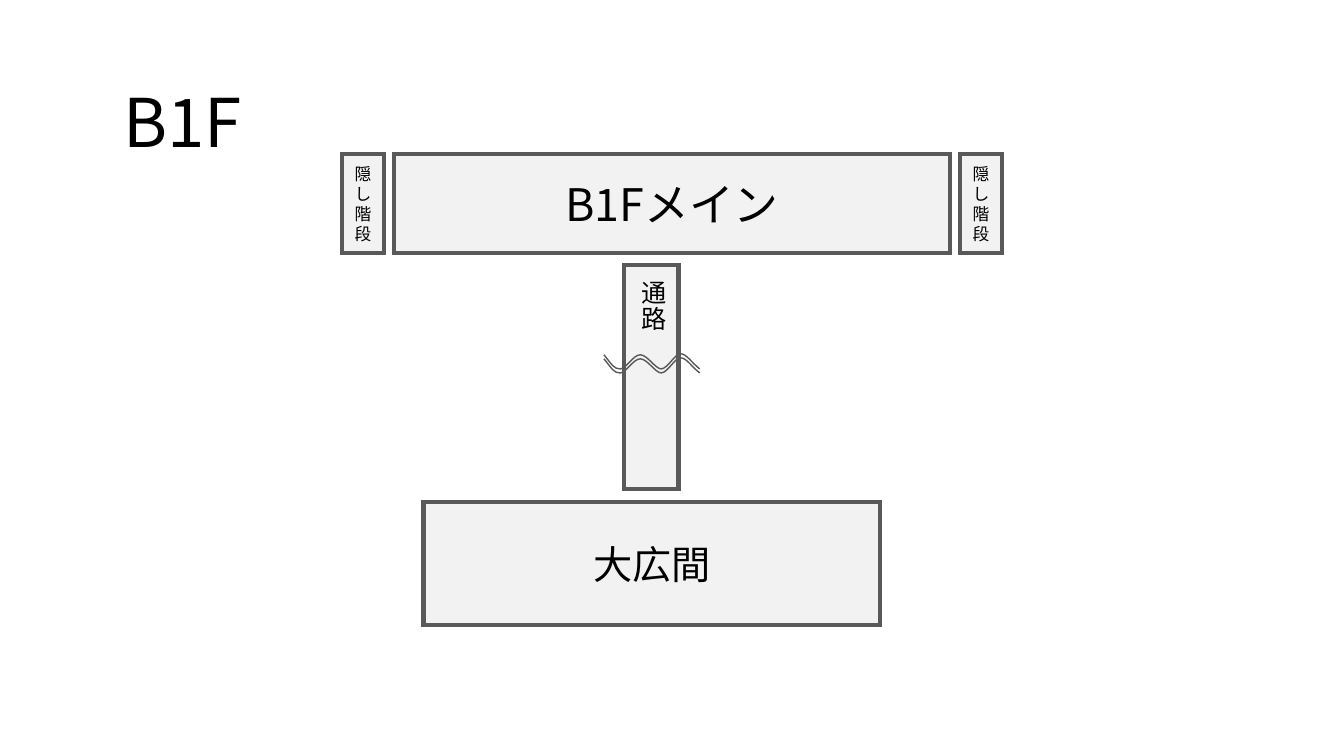
from lxml import etree
from pptx import Presentation
from pptx.dml.color import RGBColor
from pptx.enum.shapes import MSO_SHAPE as Shape
from pptx.enum.text import MSO_ANCHOR as Anchor, MSO_AUTO_SIZE as AutoSize, PP_ALIGN as Align
from pptx.oxml.ns import qn
from pptx.util import Inches, Pt

FONT = "Noto Sans CJK JP"
ROOM_FILL = RGBColor(0xF2, 0xF2, 0xF2)
WALL = RGBColor(0x59, 0x59, 0x59)
TEXT = RGBColor(0, 0, 0)

TITLE_LAYOUT = 5
TOP_ROW, TOP_ROW_HEIGHT = 1.53, 0.98
STAIRS_WIDTH = 0.42
WAVE_GAP = 0.04
# The start, then two control points and an end point for each curve
WAVE = [
    (5.99, 3.52),
    (6.07, 3.62), (6.09, 3.66), (6.15, 3.66),
    (6.21, 3.66), (6.28, 3.52), (6.35, 3.52),
    (6.42, 3.52), (6.5, 3.66), (6.56, 3.66),
    (6.63, 3.65), (6.69, 3.51), (6.75, 3.51),
    (6.81, 3.51), (6.86, 3.6), (6.94, 3.66),
]


def write_text(frame, text, size, align):
    frame.text = text
    paragraph = frame.paragraphs[0]
    paragraph.alignment = align
    for run in paragraph.runs:
        run.font.size = Pt(size)
        run.font.name = FONT
        run.font.color.rgb = TEXT
        east_asian = etree.SubElement(run.font._element, qn("a:ea"))
        east_asian.set("typeface", FONT)


def add_title(slide, text):
    title = slide.shapes.title
    title.left, title.top = Inches(1.12), Inches(0.75)
    title.width, title.height = Inches(1.9), Inches(0.91)
    frame = title.text_frame
    write_text(frame, text, 48, Align.LEFT)
    frame.vertical_anchor = Anchor.TOP
    frame.word_wrap = True
    frame.auto_size = AutoSize.SHAPE_TO_FIT_TEXT


def add_room(slide, text, size, left, top, width, height, align=Align.CENTER):
    room = slide.shapes.add_shape(
        Shape.RECTANGLE, Inches(left), Inches(top), Inches(width), Inches(height))
    room.shadow.inherit = False
    room.fill.solid()
    room.fill.fore_color.rgb = ROOM_FILL
    room.line.color.rgb = WALL
    room.line.width = Pt(3)
    outline = room._element.spPr.find(qn("a:ln"))
    etree.SubElement(outline, qn("a:miter")).set("lim", "800000")
    room.text_frame.word_wrap = True
    room.text_frame.vertical_anchor = Anchor.MIDDLE
    write_text(room.text_frame, text, size, align)
    return room


def bend(stroke):
    """Turn each three line segments of a freeform into one Bezier curve."""
    outline = next(stroke._element.iter(qn("a:path")))
    segments = outline.findall(qn("a:lnTo"))
    for first in range(0, len(segments), 3):
        curve = etree.SubElement(outline, qn("a:cubicBezTo"))
        for segment in segments[first:first + 3]:
            curve.append(segment[0])
            outline.remove(segment)


def add_break_mark(slide):
    """Draw the double wave that shows the corridor is shortened."""
    mark = slide.shapes.add_group_shape()
    for drop in (0, WAVE_GAP):
        points = [(Inches(x), Inches(y + drop)) for x, y in WAVE]
        builder = mark.shapes.build_freeform(*points[0])
        builder.add_line_segments(points[1:], close=False)
        stroke = builder.convert_to_shape()
        bend(stroke)
        stroke.shadow.inherit = False
        stroke.fill.background()
        stroke.line.color.rgb = WALL
        stroke.line.width = Pt(1)


def main():
    deck = Presentation()
    deck.slide_width, deck.slide_height = Inches(13.33), Inches(7.5)
    slide = deck.slides.add_slide(deck.slide_layouts[TITLE_LAYOUT])

    add_title(slide, "B1F")
    corridor = add_room(slide, " 通路", 18, 6.19, 2.63, 0.54, 2.22, Align.LEFT)
    corridor.text_frame._txBody.bodyPr.set("vert", "eaVert")
    add_room(slide, "B1Fメイン", 32, 3.91, TOP_ROW, 5.51, TOP_ROW_HEIGHT)
    for stairs_left in (3.39, 9.52):
        add_room(slide, "隠し階段", 12, stairs_left, TOP_ROW, STAIRS_WIDTH, TOP_ROW_HEIGHT)
    add_break_mark(slide)
    add_room(slide, "大広間", 28, 4.2, 4.98, 4.53, 1.22)

    deck.save("out.pptx")


if __name__ == "__main__":
    main()
